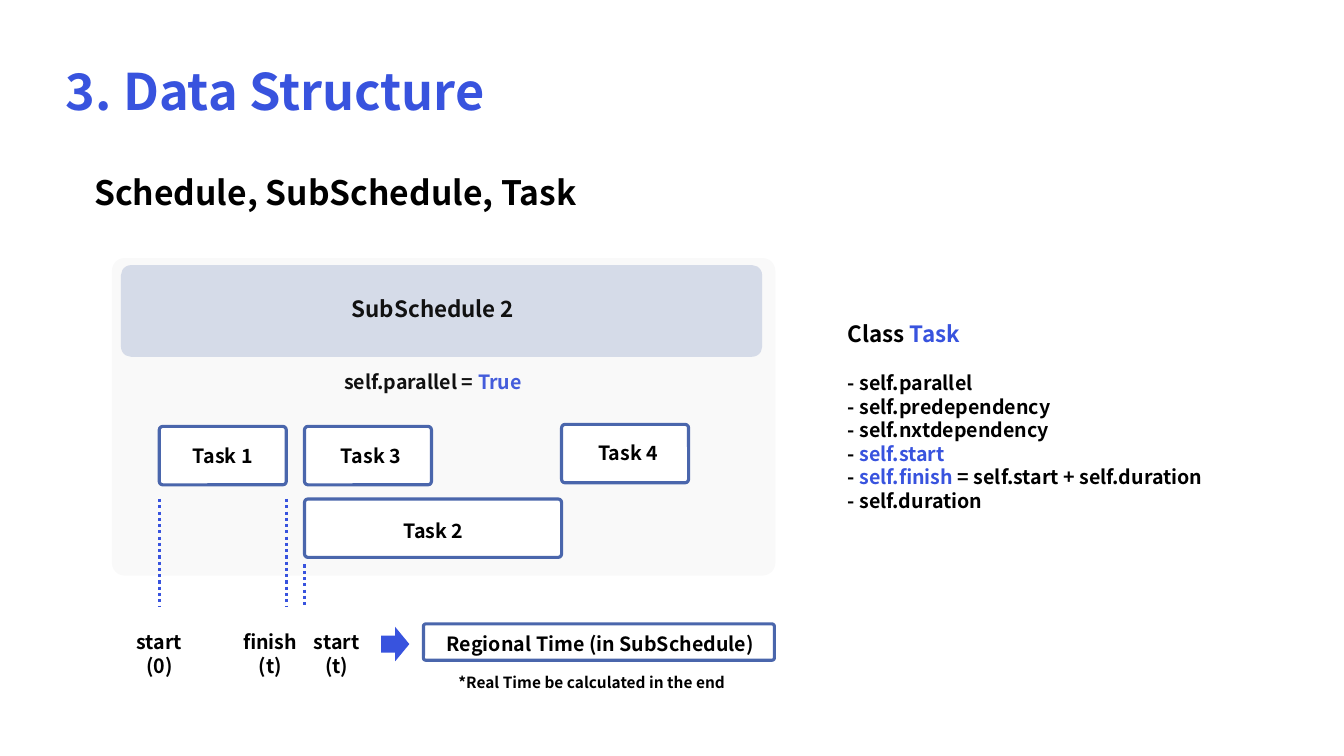
from lxml import etree
from pptx import Presentation
from pptx.dml.color import RGBColor
from pptx.enum.dml import MSO_LINE
from pptx.enum.shapes import MSO_CONNECTOR, MSO_SHAPE
from pptx.enum.text import MSO_ANCHOR, MSO_AUTO_SIZE, PP_ALIGN
from pptx.oxml.ns import qn
from pptx.util import Pt

PX = 9144  # 100 px to the inch
FONT = "Noto Sans CJK KR"
BLUE = RGBColor(0x38, 0x53, 0xDE)
NAVY = RGBColor(0x4A, 0x66, 0xAC)
GRAY = RGBColor(0xBF, 0xBF, 0xBF)
WHITE = RGBColor(0xFF, 0xFF, 0xFF)
BLACK = RGBColor(0, 0, 0)
ROUND, ARROW = MSO_SHAPE.ROUNDED_RECTANGLE, MSO_SHAPE.RIGHT_ARROW
LEFT, MID = PP_ALIGN.LEFT, PP_ALIGN.CENTER

# Content: a line is a list of (words, colour) runs
TITLE = [[("3. Data Structure", BLUE)]]
HEAD = [[("Schedule, SubSchedule, Task", BLACK)]]
SUB = [[("SubSchedule 2", BLACK)]]
MODE = [[("self.parallel = ", BLACK), ("True", BLUE)]]
TIME = [[("Regional Time (in SubSchedule)", BLACK)]]
NOTE = [[("*Real Time be calculated in the end", BLACK)]]
CLASS = [[("Class ", BLACK), ("Task", BLUE)]]
FIELDS = [
    [("- self.parallel", BLACK)],
    [("- self.predependency", BLACK)],
    [("- self.nxtdependency", BLACK)],
    [("- ", BLACK), ("self.start", BLUE)],
    [("- ", BLACK), ("self.finish ", BLUE), ("= self.start + self.duration", BLACK)],
    [("- self.duration", BLACK)],
]
# Name, box left, top, width, label left, top
TASKS = [
    ("Task 1", 158, 423, 126, 111, 436),
    ("Task 3", 302, 423, 126, 258, 436),
    ("Task 4", 557, 421, 126, 513, 433),
    ("Task 2", 302, 495, 255, 320, 510),
]
TASK_H, LABEL_W, LABEL_H = 58, 220, 34
# Word, value, label left, mark x, mark top
MARKS = [
    ("start", "(0)", 48, 158, 495),
    ("finish", "(t)", 158, 284, 495),
    ("start", "(t)", 224, 302, 560),
]
MARK_END, MARK_Y, MARK_H = 602, 620, 57


def emu(*box):
    return [n * PX for n in box]


def write(frame, lines, sizes, align):
    frame.vertical_anchor = MSO_ANCHOR.TOP
    for i, (line, size) in enumerate(zip(lines, sizes)):
        par = frame.add_paragraph() if i else frame.paragraphs[0]
        par.alignment = align
        for words, color in line:
            run = par.add_run()
            run.text = words
            run.font.name, run.font.size = FONT, Pt(size)
            run.font.bold, run.font.color.rgb = True, color


def label(box, lines, size, align=MID):
    frame = slide.shapes.add_textbox(*emu(*box)).text_frame
    frame.word_wrap = True
    write(frame, lines, [size] * len(lines), align)
    return frame


def block(box, kind=ROUND, fill=None, alpha=None, edge=None, adj=None):
    shape = slide.shapes.add_shape(kind, *emu(*box))
    shape.shadow.inherit = False
    if adj is not None:
        shape.adjustments[0] = adj
    if fill is None:
        shape.fill.background()
    else:
        shape.fill.solid()
        shape.fill.fore_color.rgb = fill
    if alpha is not None:
        tint = shape.fill._xPr.find(".//" + qn("a:srgbClr"))
        etree.SubElement(tint, qn("a:alpha")).set("val", str(alpha * 1000))
    if edge is None:
        shape.line.fill.background()
    else:
        shape.line.color.rgb = edge
        shape.line.width = Pt(2.25)


def mark(x, top, end):
    line = slide.shapes.add_connector(MSO_CONNECTOR.STRAIGHT, *emu(x, top, x, end))
    line.line.color.rgb = BLUE
    line.line.width = Pt(2.25)
    line.line.dash_style = MSO_LINE.ROUND_DOT
    etree.SubElement(line._element.spPr, qn("a:effectLst"))


deck = Presentation()
deck.slide_width, deck.slide_height = emu(1333, 750)
slide = deck.slides.add_slide(deck.slide_layouts[5])

# Title and heading
title = slide.shapes.title
title.left, title.top, title.width, title.height = emu(55, 55, 484, 71)
title.text_frame.word_wrap = False
title.text_frame.auto_size = MSO_AUTO_SIZE.NONE
write(title.text_frame, TITLE, [36], LEFT)
label((29, 166, 607, 50), HEAD, 24)

# Schedule panel
block((120, 263, 636, 91), fill=NAVY, alpha=21, adj=0.11)
label((125, 288, 609, 37), SUB, 16)
label((125, 362, 609, 34), MODE, 14)
block((111, 256, 658, 315), fill=GRAY, alpha=9, adj=0.04)

# Tasks
for name, x, y, wide, text_x, text_y in TASKS:
    block((x, y, wide, TASK_H), fill=WHITE, edge=NAVY, adj=0.06)
    label((text_x, text_y, LABEL_W, LABEL_H), [[(name, BLACK)]], 14)

# Time marks
for word, value, text_x, x, top in MARKS:
    mark(x, top, MARK_END)
    lines = [[(word, BLACK)], [(value, BLACK)]]
    label((text_x, MARK_Y, LABEL_W, MARK_H), lines, 14)

# Regional time
block((378, 622, 28, 34), kind=ARROW, fill=BLUE)
block((420, 619, 348, 36), edge=NAVY, adj=0.06)
label((401, 622, 389, 34), TIME, 14)
label((368, 663, 438, 29), NOTE, 11)

# Class fields
frame = slide.shapes.add_textbox(*emu(831, 313, 432, 202)).text_frame
frame.word_wrap = True
write(frame, CLASS + FIELDS, [16] + [14] * len(FIELDS), LEFT)
frame.paragraphs[1].space_before = Pt(17)

deck.save("out.pptx")
